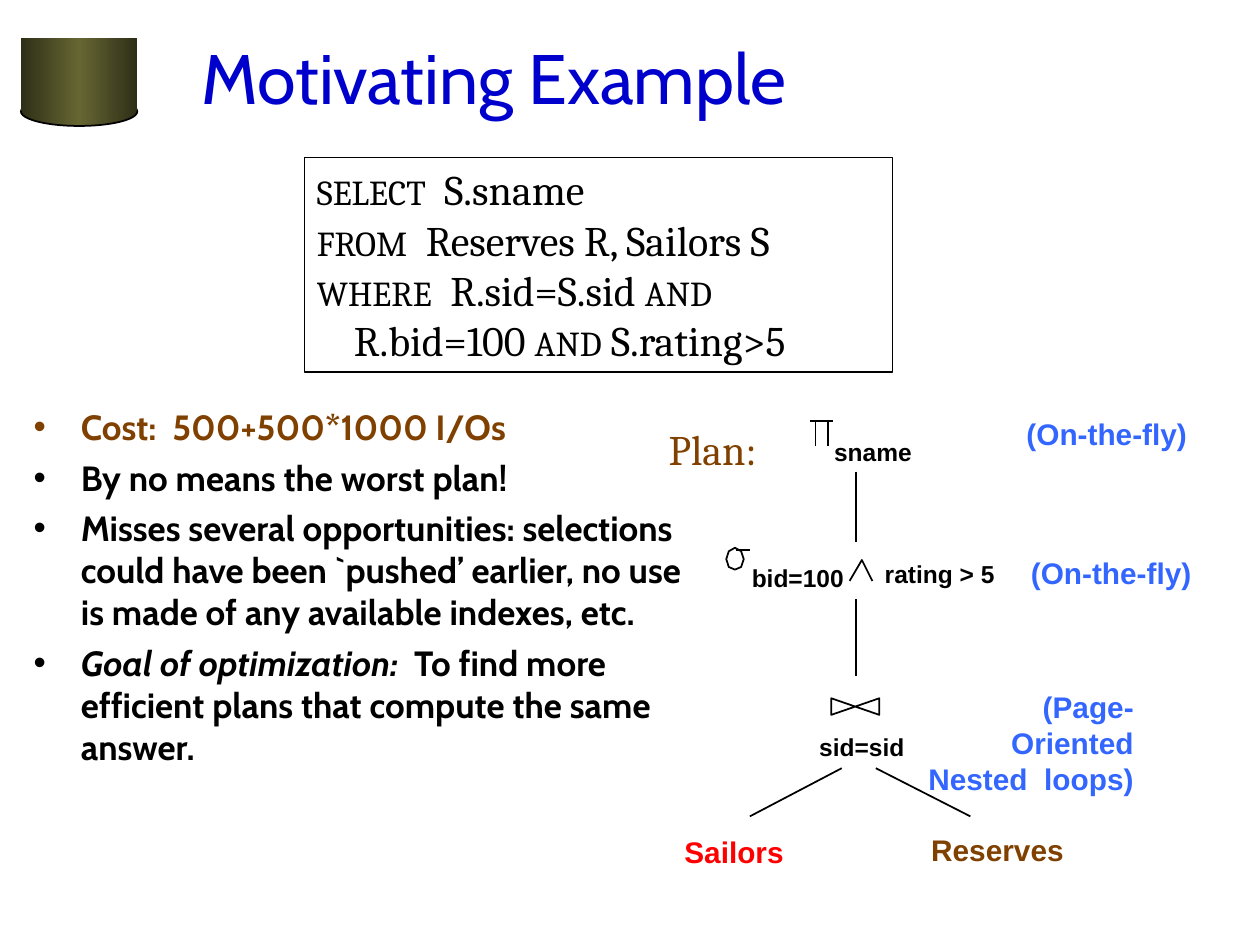
from copy import deepcopy
from dataclasses import dataclass

from lxml import etree
from pptx import Presentation
from pptx.dml.color import RGBColor
from pptx.enum.shapes import MSO_CONNECTOR, MSO_SHAPE
from pptx.enum.text import MSO_ANCHOR, MSO_AUTO_SIZE, PP_ALIGN
from pptx.oxml.ns import qn
from pptx.util import Pt

STRAIGHT = MSO_CONNECTOR.STRAIGHT
RECTANGLE, OVAL = MSO_SHAPE.RECTANGLE, MSO_SHAPE.OVAL
TOP, MIDDLE = MSO_ANCHOR.TOP, MSO_ANCHOR.MIDDLE
LEFT, RIGHT = PP_ALIGN.LEFT, PP_ALIGN.RIGHT
NO_FIT = MSO_AUTO_SIZE.NONE


@dataclass(frozen=True)
class Theme:
    heading_font: str = "Cabin"
    code_font: str = "Cambria"
    label_font: str = "Arial"
    ink: str = "000000"
    title: str = "0000CC"
    brown: str = "804000"
    red: str = "FF0000"
    blue: str = "3366FF"
    barrel_edge: str = "2F2F18"
    barrel_middle: str = "666633"
    title_size: float = 40
    code_size: float = 24
    body_size: float = 20
    note_size: float = 17
    label_size: float = 14
    line_width: float = 1


THEME = Theme()


def rgb(value):
    return RGBColor.from_string(value)


def style_font(font, name, size, color, bold=False):
    font.name, font.size, font.bold = name, Pt(size), bold
    font.color.rgb = rgb(color)


def place(shape, box):
    shape.left, shape.top, shape.width, shape.height = map(Pt, box)


def draw_outline(shape):
    shape.line.color.rgb = rgb(THEME.ink)
    shape.line.width = Pt(THEME.line_width)


def add_line(page, start, end):
    line = page.shapes.add_connector(STRAIGHT, *map(Pt, (*start, *end)))
    draw_outline(line)
    etree.SubElement(line._element.spPr, qn("a:effectLst"))


def add_path(page, points, closed):
    first, *rest = [(Pt(x), Pt(y)) for x, y in points]
    builder = page.shapes.build_freeform(*first)
    builder.add_line_segments(rest, close=closed)
    path = builder.convert_to_shape()
    path.fill.background()
    path.shadow.inherit = False
    draw_outline(path)


def add_label(page, box, lines, name, size, color, bold=True, align=LEFT):
    frame = page.shapes.add_textbox(*map(Pt, box)).text_frame
    frame.word_wrap = False
    frame.text = "\n".join(lines)
    for para in frame.paragraphs:
        para.alignment = align
        style_font(para.font, name, size, color, bold)


def fill_barrel(shape):
    shape.shadow.inherit = False
    shape.fill.gradient()
    shape.fill.gradient_angle = 0
    stop_list = shape._element.spPr.find(qn("a:gradFill")).find(qn("a:gsLst"))
    stop_list.insert(1, deepcopy(stop_list[0]))
    colors = (THEME.barrel_edge, THEME.barrel_middle, THEME.barrel_edge)
    for stop, position, color in zip(shape.fill.gradient_stops, (0, 0.5, 1), colors):
        stop.position = position
        stop.color.rgb = rgb(color)


def add_barrel(page, box):
    left, top, width, height = box
    base_height = 16.5
    base = page.shapes.add_shape(
        OVAL, *map(Pt, (left, top + height - base_height, width, base_height)))
    body = page.shapes.add_shape(
        RECTANGLE, *map(Pt, (left, top, width, height - base_height / 2)))
    for part in (base, body):
        fill_barrel(part)
    draw_outline(base)
    body.line.fill.background()


def add_title(page, box):
    title = page.shapes.title
    place(title, box)
    frame = title.text_frame
    frame.text = "Motivating Example"
    frame.vertical_anchor = MIDDLE
    frame.auto_size = NO_FIT
    para = frame.paragraphs[0]
    para.alignment = LEFT
    style_font(para.font, THEME.heading_font, THEME.title_size, THEME.title)


def add_points(page, box):
    points = (
        (THEME.brown, "", "Cost:  500+500*1000 I/Os"),
        (THEME.ink, "", "By no means the worst plan!"),
        (THEME.ink, "", "Misses several opportunities: selections could have been "
         "`pushed’ earlier, no use is made of any available indexes, etc."),
        (THEME.ink, "Goal of optimization:  ",
         "To find more efficient plans that compute the same answer."),
    )
    body = page.placeholders[1]
    place(body, box)
    frame = body.text_frame
    frame.auto_size = NO_FIT
    for index, (color, lead, text) in enumerate(points):
        para = frame.add_paragraph() if index else frame.paragraphs[0]
        para.space_before = Pt(5 if index else 0)
        bullet_color = etree.SubElement(para._p.get_or_add_pPr(), qn("a:buClr"))
        etree.SubElement(bullet_color, qn("a:srgbClr"), val=color)
        style_font(para.font, THEME.heading_font, THEME.body_size, color, True)
        if lead:
            span = para.add_run()
            span.text = lead
            span.font.italic = True
        para.add_run().text = text


def add_query(page, box):
    keyword, code = THEME.body_size, THEME.code_size
    lines = (
        (("SELECT", keyword), ("  S.sname", code)),
        (("FROM", keyword), ("  Reserves R, Sailors S", code)),
        (("WHERE", keyword), ("  R.sid=S.sid ", code), ("AND", keyword)),
        (("    R.bid=100 ", code), ("AND", keyword), (" S.rating>5", code)),
    )
    panel = page.shapes.add_shape(RECTANGLE, *map(Pt, box))
    panel.shadow.inherit = False
    panel.fill.background()
    draw_outline(panel)
    frame = panel.text_frame
    frame.vertical_anchor = TOP
    for index, line in enumerate(lines):
        para = frame.add_paragraph() if index else frame.paragraphs[0]
        para.alignment = LEFT
        for text, size in line:
            span = para.add_run()
            span.text = text
            style_font(span.font, THEME.code_font, size, THEME.ink)


def add_plan(page, box):
    left, top = box[:2]

    def at(x, y):
        return left + x, top + y

    project = ((88, 6.5, 101, 6.5), (91, 7, 91, 21), (98, 7, 98, 21))
    select_bar = (45.5, 80.5, 53.5, 80.5)
    stems = ((114, 35.5, 114, 75.5), (114, 108.5, 114, 152.5))
    branches = ((106, 205, 53.5, 232.5), (125.5, 205, 179.5, 232.5))
    for x1, y1, x2, y2 in (*project, select_bar, *stems, *branches):
        add_line(page, at(x1, y1), at(x2, y2))

    ring = ((50, 85.5), (48.5, 81), (45, 79), (41.5, 81),
            (40, 85.5), (41.5, 90), (45, 91.5), (48.5, 90))
    bowtie = ((100, 165), (127.5, 174.5), (127.5, 165), (100, 174.5))
    wedge = ((110.5, 98), (117.5, 86), (123.5, 98))
    for points, closed in ((ring, True), (bowtie, True), (wedge, False)):
        add_path(page, [at(x, y) for x, y in points], closed)

    add_label(page, (*at(0, 4.3), 70, 36), ["Plan:"],
              THEME.code_font, THEME.code_size, THEME.brown, bold=False)
    for x, y, width, text in ((94.5, 12.2, 59, "sname"), (47.5, 84.2, 71, "bid=100"),
                              (123.5, 82, 77, "rating > 5"), (86, 180.7, 63, "sid=sid")):
        add_label(page, (*at(x, y), width, 24), [text],
                  THEME.label_font, THEME.label_size, THEME.ink)
    for x, y, width, text, color in (
            (204.5, 0, 106, "(On-the-fly)", THEME.blue),
            (207, 79.2, 106, "(On-the-fly)", THEME.blue),
            (9, 239, 71, "Sailors", THEME.red),
            (150, 237.6, 90, "Reserves", THEME.brown)):
        add_label(page, (*at(x, y), width, 27.5), [text],
                  THEME.label_font, THEME.note_size, color)
    add_label(page, (*at(144, 156.2), 136, 47.5), ["(Page-Oriented", "Nested  loops)"],
              THEME.label_font, THEME.note_size, THEME.blue, align=RIGHT)


def main():
    deck = Presentation()
    deck.slide_width, deck.slide_height = Pt(720), Pt(540)
    page = deck.slides.add_slide(deck.slide_layouts[1])
    add_barrel(page, (12, 21.5, 66.5, 50.5))
    add_title(page, (108, 0, 612, 87))
    add_points(page, (12, 228, 402, 285))
    add_query(page, (174, 90, 336, 122.5))
    add_plan(page, (375, 234, 313, 267))
    deck.save("out.pptx")


if __name__ == "__main__":
    main()
